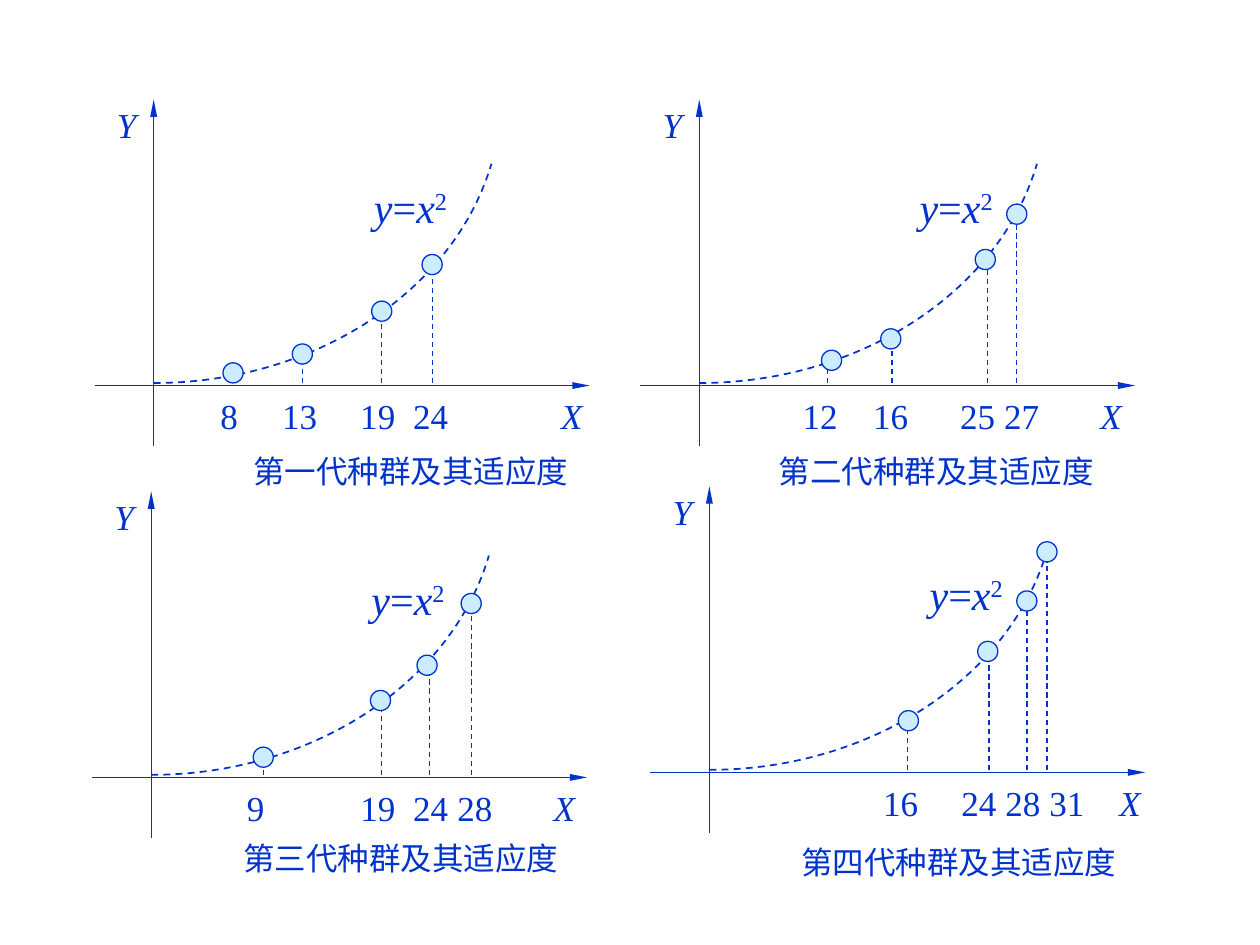
from dataclasses import dataclass

from lxml import etree
from pptx import Presentation
from pptx.dml.color import RGBColor
from pptx.enum.dml import MSO_LINE
from pptx.enum.shapes import MSO_CONNECTOR, MSO_SHAPE
from pptx.oxml.ns import qn
from pptx.util import Inches, Pt

DASH = MSO_LINE.DASH
LINE = MSO_CONNECTOR.STRAIGHT
OVAL = MSO_SHAPE.OVAL


@dataclass(frozen=True)
class Theme:
    ink: RGBColor = RGBColor(0x00, 0x33, 0xCC)
    dot: RGBColor = RGBColor(0xCC, 0xEC, 0xFF)
    serif: str = "Times New Roman"
    sans: str = "Arial"
    label: int = 20
    formula: int = 24
    caption: int = 18
    thin: float = 0.75
    curve: float = 1


def write(para, text, *, font, size, color, italic=False, raised=False):
    """Add one formatted run to a paragraph."""
    run = para.add_run()
    run.text = text
    run.font.name = font
    run.font.size = Pt(size)
    run.font.italic = italic
    run.font.color.rgb = color
    if raised:
        run._r.get_or_add_rPr().set("baseline", "30000")


class Pen:
    """Holds the theme and the slide, and draws each kind of element."""

    def __init__(self, theme, slide):
        self.theme = theme
        self.slide = slide
        self.shapes = slide.shapes

    def group(self):
        self.shapes = self.slide.shapes.add_group_shape().shapes

    def stroke(self, shape, width, dash=False):
        shape.line.color.rgb = self.theme.ink
        shape.line.width = Pt(width)
        if dash:
            shape.line.dash_style = DASH

    def line(self, x1, y1, x2, y2, dash=False, arrow=False):
        link = self.shapes.add_connector(
            LINE, Inches(x1), Inches(y1), Inches(x2), Inches(y2))
        self.stroke(link, self.theme.thin, dash)
        if arrow:
            etree.SubElement(link.line._get_or_add_ln(), qn("a:tailEnd"),
                             type="triangle", w="sm", len="lg")
        etree.SubElement(link._element.spPr, qn("a:effectLst"))

    def dot(self, x, y, radius):
        shape = self.shapes.add_shape(
            OVAL, Inches(x - radius), Inches(y - radius),
            Inches(2 * radius), Inches(2 * radius))
        shape.shadow.inherit = False
        shape.fill.solid()
        shape.fill.fore_color.rgb = self.theme.dot
        self.stroke(shape, self.theme.thin)

    def curve(self, points):
        """Draw one cubic curve from its four control points."""
        start, *rest = [(Inches(x), Inches(y)) for x, y in points]
        outline = self.shapes.build_freeform(*start)
        outline.add_line_segments(rest, close=False)
        shape = outline.convert_to_shape()
        # Join the three straight steps into one cubic step
        steps = list(shape._element.iter(qn("a:lnTo")))
        cubic = etree.SubElement(steps[0].getparent(), qn("a:cubicBezTo"))
        for step in steps:
            cubic.append(step[0])
            step.getparent().remove(step)
        shape.shadow.inherit = False
        shape.fill.background()
        self.stroke(shape, self.theme.curve, dash=True)

    def text(self, x, y, w, h, runs, size, font=None, pad=(0.1, 0.05), tabs=()):
        """Runs are (text, format) pairs; tabs are centred stops."""
        box = self.shapes.add_textbox(Inches(x), Inches(y), Inches(w), Inches(h))
        frame = box.text_frame
        frame.word_wrap = True
        frame.margin_left = Inches(pad[0])
        frame.margin_top = frame.margin_bottom = Inches(pad[1])
        frame.margin_right = 0
        para = frame.paragraphs[0]
        if tabs:
            stops = etree.SubElement(para._p.get_or_add_pPr(), qn("a:tabLst"))
            for stop in tabs:
                etree.SubElement(stops, qn("a:tab"), algn="ctr",
                                 pos=str(Inches(stop - x - pad[0])))
        for words, form in runs:
            write(para, words, font=font or self.theme.serif, size=size,
                  color=self.theme.ink, **form)


RADIUS = 0.08
GAP = 0.02      # curve and stems end just above the X axis
BEND = ((0, 0), (1.27, 0), (2.38, -0.72), (2.68, -1.74))
SLANT = {"italic": True}
FORMULA = (("y", SLANT), ("=", {}), ("x", SLANT), ("2", {"raised": True}))


def plot(pen, origin, points, end, strip, title, spot):
    x, y = origin
    theme = pen.theme
    base = y - GAP
    pen.group()

    # Stems, left out where the dot rests on the axis
    for _, _, _, dot_y, stem in points:
        if stem:
            pen.line(stem, base, stem, dot_y + RADIUS, dash=True)

    # Axes and curve
    pen.line(x - 0.47, y, x + 3.46, y, arrow=True)
    pen.line(x, y + 0.48, x, y - 2.27, arrow=True)
    pen.curve([(x + dx, base + dy) for dx, dy in BEND])

    # Dots
    for _, _, dot_x, dot_y, _ in points:
        pen.dot(dot_x, dot_y, RADIUS)

    # Labels
    pen.text(x - 0.39, y - 2.29, 0.31, 0.44, [("Y", SLANT)], theme.label)
    pen.text(x + 1.65, y - 1.67, 0.87, 0.5, FORMULA, theme.formula)
    marks = "".join(f"\t{point[0]}" for point in points)
    left, width = strip
    pen.text(left, y + GAP, width, 0.44, [(marks + "\t", {}), ("X", SLANT)],
             theme.label, tabs=[point[1] for point in points] + [end])
    pen.text(*spot, 2.68, 0.3, [(title, {})], theme.caption,
             font=theme.sans, pad=(0, 0))


# Origin, points (value, label x, dot x, dot y, stem x), X label,
# left and width of the value strip, title, title spot
PLOTS = (
    ((1.22, 3.06),
     ((8, 1.82, 1.85, 2.96, None), (13, 2.38, 2.4, 2.81, 2.4),
      (19, 3.0, 3.03, 2.47, 3.03), (24, 3.42, 3.43, 2.1, 3.43)),
     4.54, (1.38, 3.7), "第一代种群及其适应度", (2.01, 3.59)),
    ((5.55, 3.06),
     ((12, 6.51, 6.6, 2.86, 6.57), (16, 7.07, 7.07, 2.69, 7.08),
      (25, 7.76, 7.82, 2.06, 7.84), (27, 8.11, 8.07, 1.7, 8.07)),
     8.82, (5.79, 3.62), "第二代种群及其适应度", (6.18, 3.59)),
    ((1.2, 6.17),
     ((9, 2.03, 2.09, 6.01, 2.09), (19, 3.0, 3.02, 5.56, 3.03),
      (24, 3.42, 3.39, 5.28, 3.41), (28, 3.77, 3.74, 4.79, 3.74)),
     4.48, (1.38, 3.39), "第三代种群及其适应度", (1.93, 6.66)),
    ((5.63, 6.13),
     ((16, 7.15, 7.21, 5.72, 7.2), (24, 7.77, 7.84, 5.17, 7.85),
      (28, 8.12, 8.15, 4.77, 8.15), (31, 8.47, 8.31, 4.38, 8.31)),
     8.97, (5.87, 3.43), "第四代种群及其适应度", (6.36, 6.69)),
)


def main():
    deck = Presentation()
    deck.slide_width, deck.slide_height = Inches(10), Inches(7.5)
    pen = Pen(Theme(), deck.slides.add_slide(deck.slide_layouts[6]))
    for row in PLOTS:
        plot(pen, *row)
    deck.save("out.pptx")


if __name__ == "__main__":
    main()
